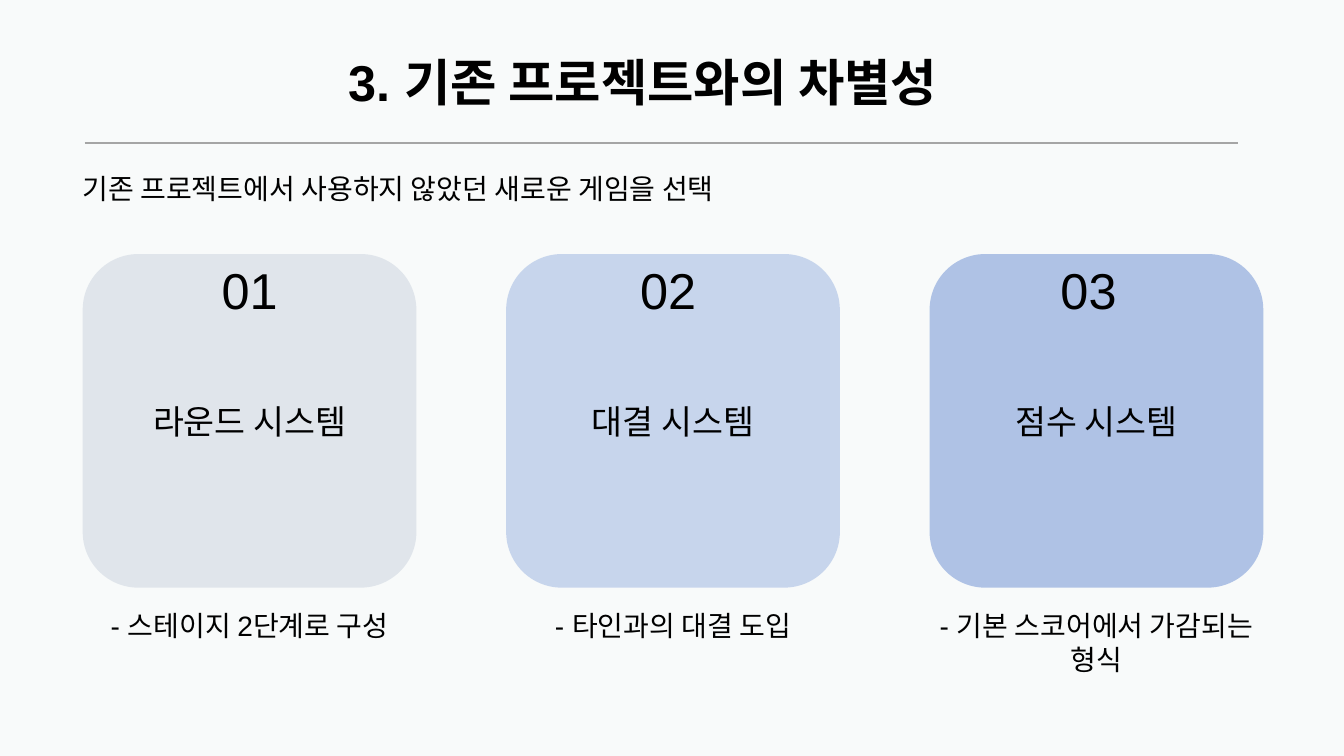
from lxml.etree import SubElement
from pptx import Presentation
from pptx.dml.color import RGBColor
from pptx.enum.shapes import MSO_CONNECTOR as Connector, MSO_SHAPE as Shape
from pptx.enum.text import MSO_ANCHOR as Anchor, PP_ALIGN as Align
from pptx.oxml.ns import qn
from pptx.util import Inches, Pt

BACKGROUND = RGBColor(0xF8, 0xFA, 0xFA)
BLACK = RGBColor(0x00, 0x00, 0x00)
RULE_GRAY = RGBColor(0xA5, 0xA5, 0xA5)
PALE_GRAY = RGBColor(0xD6, 0xDC, 0xE5)
LIGHT_BLUE = RGBColor(0xB4, 0xC7, 0xE7)
MID_BLUE = RGBColor(0x8F, 0xAA, 0xDC)

CARD_LEFT = 0.82
CARD_TOP = 2.52
CARD_SIZE = 3.31
CARD_PITCH = 4.2
CAPTION_TOP = 5.99

CARDS = [
    ("01", 2.1, "라운드 시스템", "- 스테이지 2단계로 구성", PALE_GRAY, 69, 0.44),
    ("02", 6.25, "대결 시스템", "- 타인과의 대결 도입", LIGHT_BLUE, 71, 0.44),
    ("03", 10.42, "점수 시스템", "- 기본 스코어에서 가감되는 형식", MID_BLUE, 69, 0.77),
]


class SlideBuilder:
    font_name = "Arial"

    def __init__(self, slide):
        self.slide = slide
        background = slide.background.fill
        background.solid()
        background.fore_color.rgb = BACKGROUND

    def add_wording(self, frame, wording, size, align, bold=False):
        paragraph = frame.paragraphs[0]
        paragraph.alignment = align
        run = paragraph.add_run()
        run.text = wording
        run.font.name = self.font_name
        run.font.size = Pt(size)
        run.font.bold = bold
        run.font.color.rgb = BLACK
        return paragraph

    def text(self, left, top, width, height, wording, size,
             align=Align.LEFT, wrap=True, bold=False):
        box = self.slide.shapes.add_textbox(
            Inches(left), Inches(top), Inches(width), Inches(height))
        box.text_frame.word_wrap = wrap
        return box.text_frame, self.add_wording(box.text_frame, wording, size, align, bold)

    def title(self, left, top, width, height, wording):
        frame, heading = self.text(
            left, top, width, height, wording, 36, Align.CENTER, bold=True)
        frame.vertical_anchor = Anchor.MIDDLE
        heading.line_spacing = 0.9

    def rule(self, left, right, top):
        divider = self.slide.shapes.add_connector(
            Connector.STRAIGHT, Inches(left), Inches(top), Inches(right), Inches(top))
        divider.line.color.rgb = RULE_GRAY
        divider.line.width = Pt(1)
        SubElement(divider.element.spPr, qn("a:effectLst"))

    def card(self, left, top, size, wording, color, opacity):
        panel = self.slide.shapes.add_shape(
            Shape.ROUNDED_RECTANGLE, Inches(left), Inches(top), Inches(size), Inches(size))
        panel.shadow.inherit = False
        panel.fill.solid()
        panel.fill.fore_color.rgb = color
        tint = panel.element.spPr.find(qn("a:solidFill")).find(qn("a:srgbClr"))
        SubElement(tint, qn("a:alpha"), val=str(opacity * 1000))
        panel.line.fill.background()
        panel.text_frame.word_wrap = True
        panel.text_frame.vertical_anchor = Anchor.MIDDLE
        self.add_wording(panel.text_frame, wording, 24, Align.CENTER)


def main():
    deck = Presentation()
    deck.slide_width = Inches(13.33)
    deck.slide_height = Inches(7.5)
    builder = SlideBuilder(deck.slides.add_slide(deck.slide_layouts[6]))

    builder.title(0.72, 0.42, 11.31, 0.85, "3. 기존 프로젝트와의 차별성")
    builder.rule(0.84, 12.28, 1.42)
    builder.text(0.72, 1.65, 7.19, 0.44,
                 "기존 프로젝트에서 사용하지 않았던 새로운 게임을 선택", 20, wrap=False)

    for index, card in enumerate(CARDS):
        number, number_left, system, caption, color, opacity, caption_height = card
        left = CARD_LEFT + index * CARD_PITCH
        builder.card(left, CARD_TOP, CARD_SIZE, system, color, opacity)
        builder.text(number_left, CARD_TOP, 0.84, 0.71, number, 36)
        builder.text(left, CAPTION_TOP, CARD_SIZE, caption_height, caption, 20, Align.CENTER)

    deck.save("out.pptx")


if __name__ == "__main__":
    main()
